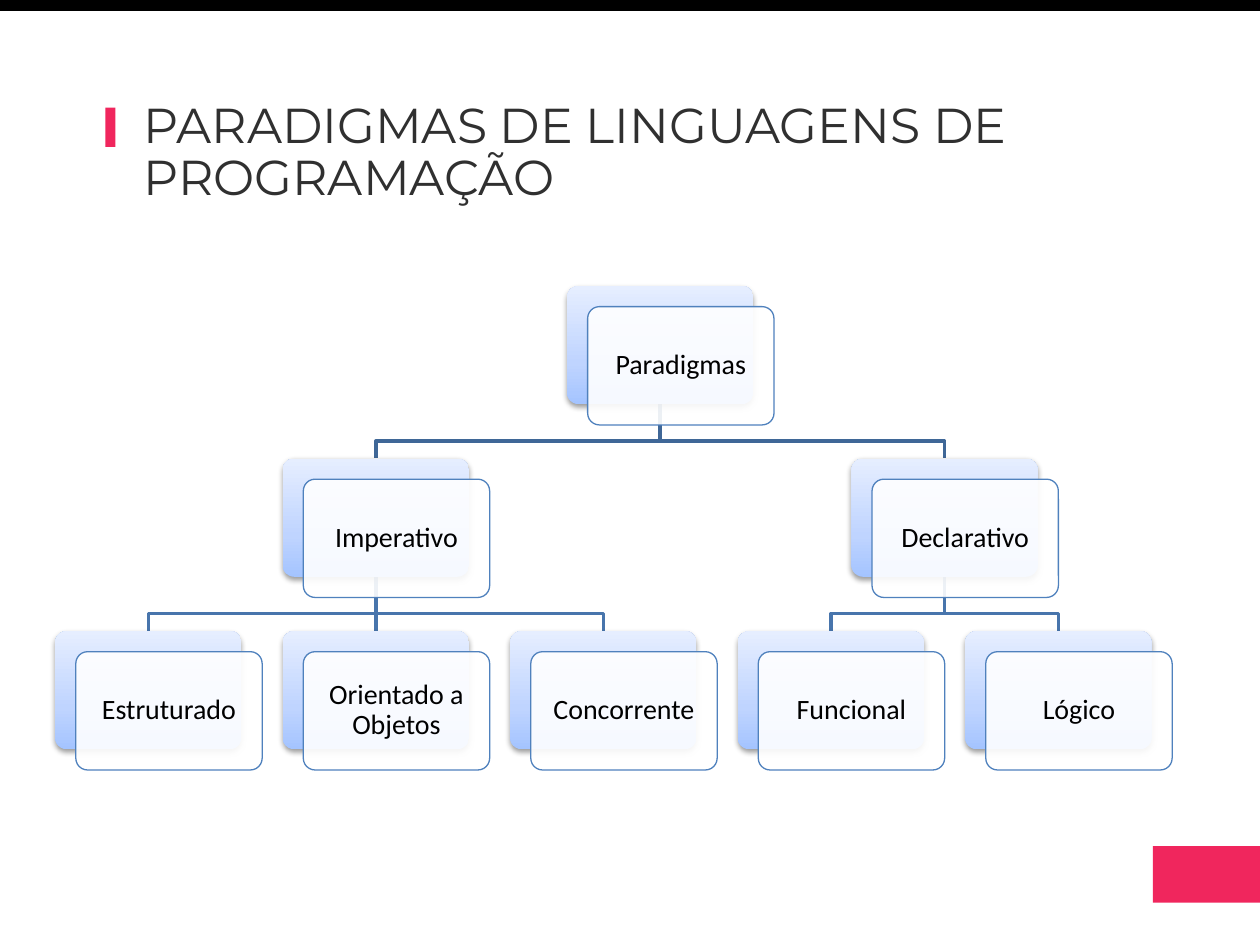
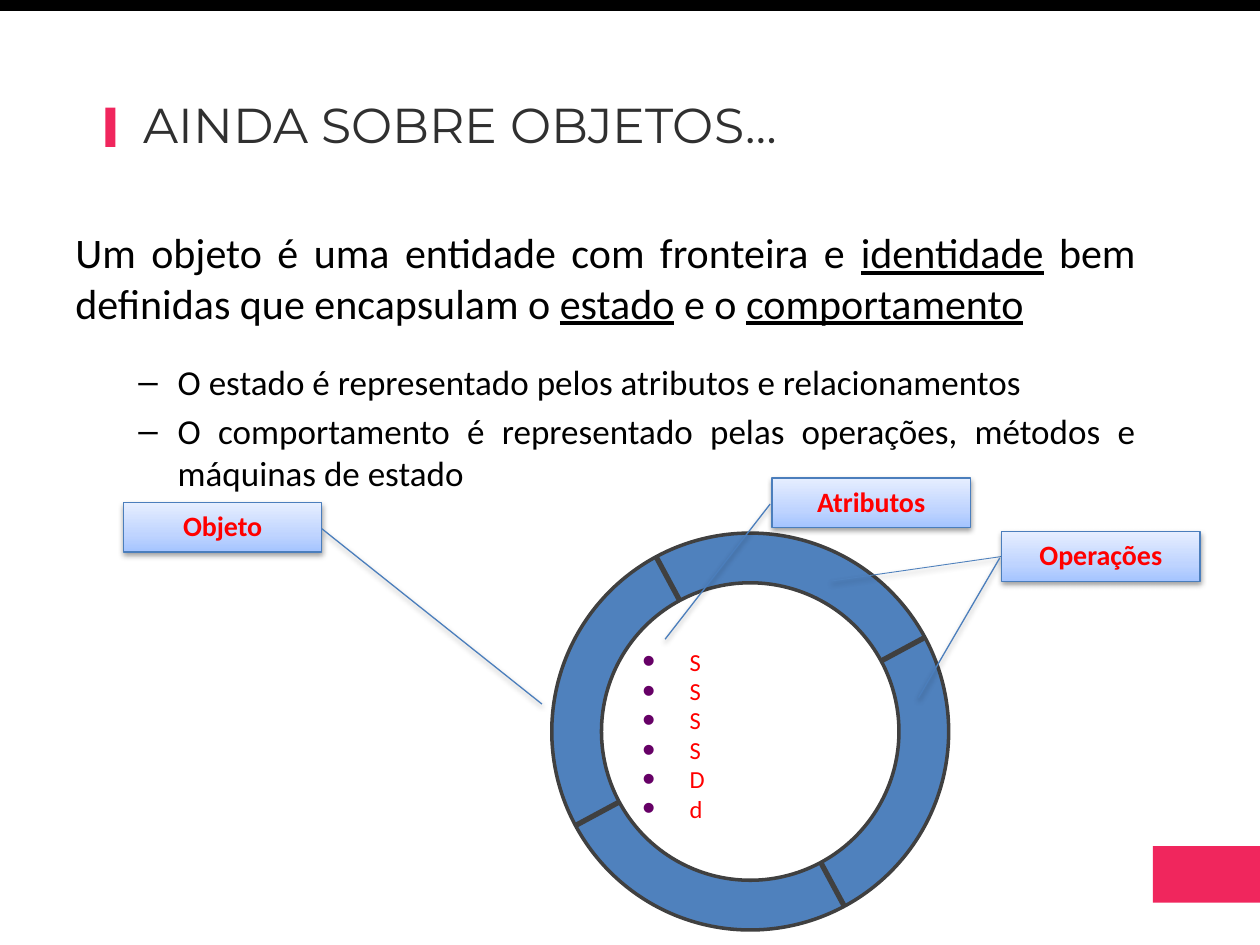
"""Build two slides on programming paradigms and objects."""
from math import cos, radians, sin

from pptx import Presentation
from pptx.dml.color import RGBColor
from pptx.enum.shapes import MSO_CONNECTOR, MSO_SHAPE
from pptx.enum.text import MSO_ANCHOR, PP_ALIGN
from pptx.oxml import parse_xml
from pptx.oxml.ns import nsdecls, qn
from pptx.util import Pt

PINK, BLACK, WHITE, GREY = "F0265D", "000000", "FFFFFF", "404040"
BLUE, RED, PURPLE = "4F81BD", "FF0000", "660066"
hue = RGBColor.from_string
NS = nsdecls("a")
STOPS = "".join(
    f'<a:gs pos="{spot}"><a:srgbClr val="{tint}"/></a:gs>'
    for spot, tint in ((0, "A4C4FF"), (35000, "BFD4FF"), (100000, "E6EEFF"))
)
BLEND = (f'<a:gradFill {NS} rotWithShape="1"><a:gsLst>{STOPS}</a:gsLst>'
         '<a:lin ang="16200000" scaled="0"/></a:gradFill>')
SHADE = (f'<a:outerShdw {NS} blurRad="40000" dist="20000" dir="5400000" rotWithShape="0">'
         f'<a:srgbClr val="{BLACK}"><a:alpha val="38000"/></a:srgbClr></a:outerShdw>')
DASH = '<a:buFont typeface="Arial"/><a:buChar char="–"/>'
DOT = (f'<a:buClr><a:srgbClr val="{PURPLE}"/></a:buClr><a:buSzPct val="150000"/>'
       '<a:buFont typeface="Arial"/><a:buChar char="•"/>')


def draw(slide, kind, box, fill=None, edge=None, thick=0.75):
    """Add a shape; without a fill colour it gets the blue blend and a shadow."""
    shape = slide.shapes.add_shape(kind, *map(Pt, box))
    shape.shadow.inherit = False
    props = shape.element.spPr
    if fill:
        shape.fill.solid()
        shape.fill.fore_color.rgb = hue(fill)
    else:
        props.insert(2, parse_xml(BLEND))
        props.find(qn("a:effectLst")).append(parse_xml(SHADE))
    if edge:
        shape.line.color.rgb = hue(edge)
        shape.line.width = Pt(thick)
    else:
        shape.line.fill.background()
    return shape


def write(shape, lines, tint, font, para, frame, mark="", left=0, hang=0):
    """Append paragraphs, underlining whatever stands between underscores."""
    body = shape.text_frame
    for key, value in frame.items():
        setattr(body, key, value)
    for line in lines:
        item = body.add_paragraph() if body.text else body.paragraphs[0]
        for key, value in para.items():
            setattr(item, key, value)
        for count, part in enumerate(line.split("_")):
            run = item.add_run()
            run.text = part
            run.font.color.rgb = hue(tint)
            run.font.underline = count % 2 == 1
            for key, value in font.items():
                setattr(run.font, key, value)
        if mark:
            props = item._p.get_or_add_pPr()
            props.set("marL", str(Pt(left)))
            props.set("indent", str(Pt(-hang)))
            props.extend(parse_xml(f"<a:pPr {NS}>{mark}</a:pPr>"))


deck = Presentation()
deck.slide_width, deck.slide_height = Pt(720), Pt(540)

pages = []
for title, height in (("PARADIGMAS DE LINGUAGENS DE PROGRAMAÇÃO", 68.4),
                      ("AINDA SOBRE OBJETOS…", 38.2)):
    page = deck.slides.add_slide(deck.slide_layouts[6])
    head = page.shapes.add_textbox(Pt(75), Pt(54), Pt(579.6), Pt(height))
    write(head, [title], "303030", {"name": "Montserrat", "size": Pt(28)},
          {"line_spacing": 0.9}, {"word_wrap": True})
    for box, tint in (((60.2, 61.6, 5.8, 22.4), PINK), ((0, 0, 720, 6.3), BLACK),
                      ((658.8, 483.6, 61.6, 32.2), PINK)):
        draw(page, MSO_SHAPE.RECTANGLE, box, tint)
    pages.append(page)
tree, ring = pages

WIDE, HIGH, SHIFT = 106.5, 67.6, 11.8
LEFT, TOP, STEP, DROP = 31.5, 163.4, 130, 98.6
nodes = {
    "Paradigmas": (2.25, 0, None), "Imperativo": (1, 1, "Paradigmas"),
    "Estruturado": (0, 2, "Imperativo"), "Orientado a Objetos": (1, 2, "Imperativo"),
    "Concorrente": (2, 2, "Imperativo"), "Declarativo": (3.5, 1, "Paradigmas"),
    "Funcional": (3, 2, "Declarativo"), "Lógico": (4, 2, "Declarativo"),
}
for col, row, boss in reversed(list(nodes.values())):
    if not boss:
        continue
    start = LEFT + nodes[boss][0] * STEP + WIDE / 2
    end = LEFT + col * STEP + WIDE / 2
    low = TOP + row * DROP
    high = low - DROP + HIGH
    bend = high + 21
    pen = tree.shapes.build_freeform(Pt(start), Pt(high))
    pen.add_line_segments([(Pt(x), Pt(y)) for x, y in
                           ((start, bend), (end, bend), (end, low))], close=False)
    link = pen.convert_to_shape()
    link.shadow.inherit = False
    link.fill.background()
    link.line.color.rgb = hue("3F6797" if row == 1 else "4875AC")
    link.line.width = Pt(2)

for name, (col, row, boss) in nodes.items():
    x, y = LEFT + col * STEP, TOP + row * DROP
    back = draw(tree, MSO_SHAPE.ROUNDED_RECTANGLE, (x, y, WIDE, HIGH))
    card = draw(tree, MSO_SHAPE.ROUNDED_RECTANGLE, (x + SHIFT, y + SHIFT, WIDE, HIGH),
                WHITE, BLUE)
    back.adjustments[0] = card.adjustments[0] = 0.1
    tone = card.element.spPr.find(qn("a:solidFill"))[0]
    tone.append(parse_xml(f'<a:alpha {NS} val="90000"/>'))
    sides = {f"margin_{side}": Pt(5) for side in ("left", "top", "right", "bottom")}
    write(card, [name], BLACK, {"name": "Calibri", "size": Pt(16)},
          {"alignment": PP_ALIGN.CENTER, "line_spacing": 0.9},
          {"word_wrap": True, "vertical_anchor": MSO_ANCHOR.MIDDLE, **sides})

text = ring.shapes.add_textbox(Pt(36), Pt(126), Pt(620), Pt(356.4))
write(text, ["Um objeto é uma entidade com fronteira e _identidade_ bem definidas que "
             "encapsulam o _estado_ e o _comportamento_"],
      BLACK, {"name": "Calibri", "size": Pt(24)},
      {"alignment": PP_ALIGN.JUSTIFY, "space_after": Pt(15)}, {"word_wrap": True})
write(text, ["O estado é representado pelos atributos e relacionamentos",
             "O comportamento é representado pelas operações, métodos e máquinas de estado"],
      BLACK, {"name": "Calibri", "size": Pt(20)},
      {"alignment": PP_ALIGN.JUSTIFY, "space_before": Pt(4), "level": 1}, {},
      DASH, 58.5, 22.5)

MIDX, MIDY, OUTER, INNER = 428.7, 418, 113.4, 85
for size, tint in ((OUTER, BLUE), (INNER, WHITE)):
    draw(ring, MSO_SHAPE.OVAL, (MIDX - size, MIDY - size, 2 * size, 2 * size), tint, GREY, 2)

lines = [((572.4, 318), (475.2, 332), BLUE, 0.5)]
for turn in range(4):
    angle = radians(61.7 + 90 * turn)
    ends = [(MIDX + size * cos(angle), MIDY + size * sin(angle)) for size in (OUTER, INNER)]
    lines.append((*ends, GREY, 3))
for start, end, tint, thick in lines:
    line = ring.shapes.add_connector(MSO_CONNECTOR.STRAIGHT, *map(Pt, (*start, *end)))
    line.line.color.rgb = hue(tint)
    line.line.width = Pt(thick)
    glow = SHADE if tint == BLUE else ""
    line.element.spPr.append(parse_xml(f"<a:effectLst {NS}>{glow}</a:effectLst>"))

items = ring.shapes.add_textbox(Pt(360), Pt(364.3), Pt(116), Pt(126))
write(items, ["S", "S", "S", "S", "D", "d"], RED, {"name": "Calibri", "size": Pt(14)}, {},
      {"word_wrap": True, "vertical_anchor": MSO_ANCHOR.BOTTOM, "margin_bottom": Pt(20)},
      DOT, 27, 27)

for name, x, y, tail in (("Objeto", 70.6, 287.2, (0.53, 1, 4.07, 2.11)),
                         ("Atributos", 441.2, 273.1, (0.53, -0.01, 3.26, -0.54)),
                         ("Operações", 572.4, 303.9, (0.53, -0.01, 3.35, -0.42))):
    label = draw(ring, MSO_SHAPE.LINE_CALLOUT_1, (x, y, 113.3, 28.3), None, "4B7EBC")
    for spot, value in enumerate(tail):
        label.adjustments[spot] = value
    write(label, [name], RED, {"name": "Calibri", "size": Pt(16), "bold": True},
          {"alignment": PP_ALIGN.CENTER},
          {"word_wrap": False, "vertical_anchor": MSO_ANCHOR.TOP, "margin_bottom": 0})

deck.save("out.pptx")
